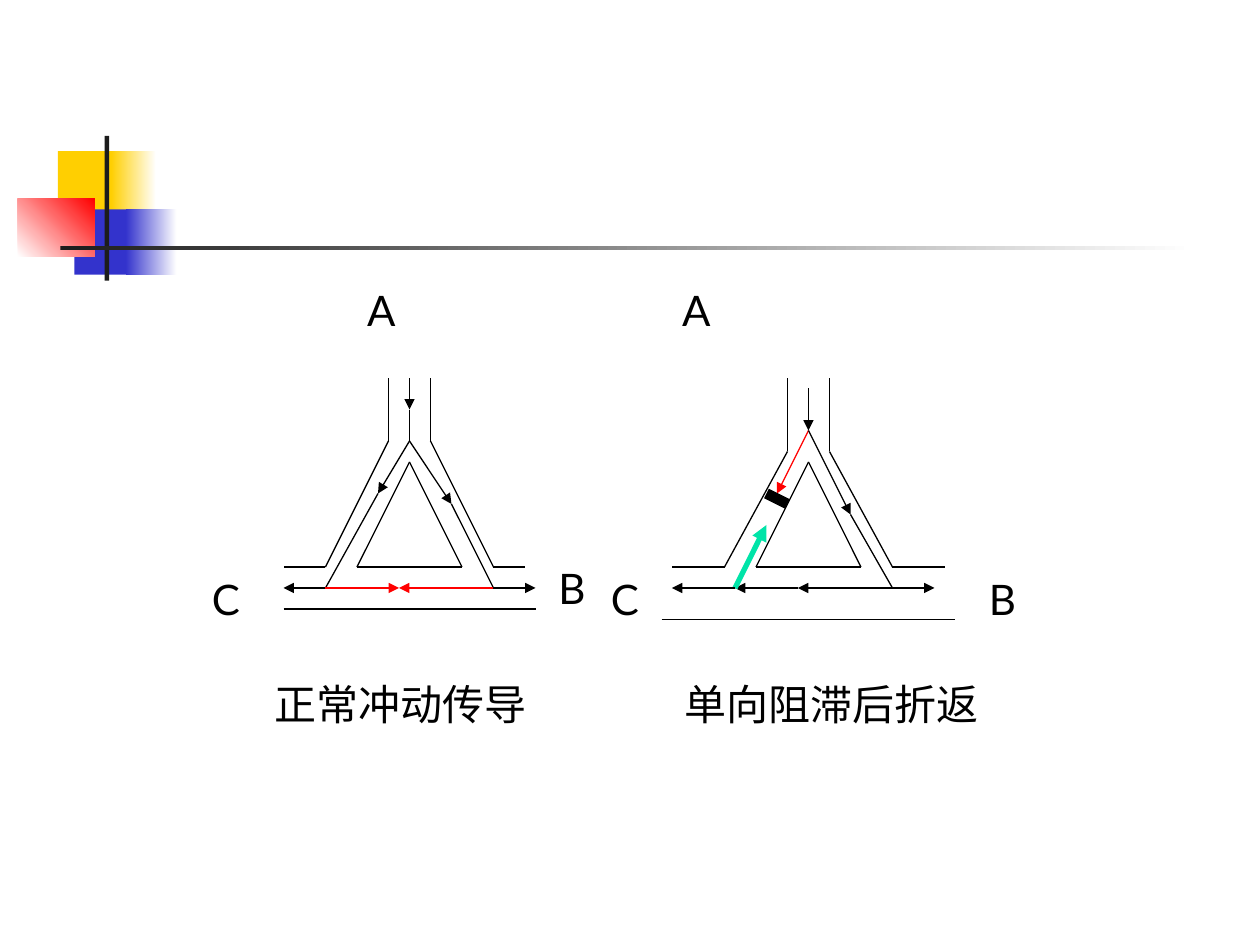
from itertools import pairwise

from lxml.etree import SubElement
from pptx import Presentation
from pptx.dml.color import RGBColor
from pptx.enum.shapes import MSO_CONNECTOR, MSO_SHAPE
from pptx.oxml.ns import qn
from pptx.util import Cm, Pt

COLORS = {
    "black": "000000",
    "charcoal": "1C1C1C",
    "white": "FFFFFF",
    "yellow": "FFCF01",
    "blue": "3333CC",
    "red": "FF0000",
    "green": "00E4A8",
}
FONT = "Lato"
GRID = 2.54 / 12  # both diagrams sit on a grid of twelfths of an inch

# Corner ornament: left, top, width, height in cm, colours, gradient angle
ORNAMENT = [
    (1.17, 3.05, 1.22, 1.32, ["yellow"], 0),
    (2.24, 3.05, 0.91, 1.32, ["yellow", "white"], 0),
    (1.5, 4.22, 1.17, 1.32, ["blue"], 0),
    (2.54, 4.22, 1.02, 1.32, ["blue", "white"], 0),
    (0.36, 4.01, 1.55, 1.17, ["white", "red"], 45),
    (2.11, 2.74, 0.09, 2.92, ["charcoal"], 0),
    (1.22, 4.95, 22.86, 0.09, ["charcoal", "white"], 0),
]

# Walls of the conducting tissue, as grid points
NORMAL_WALLS = [
    [(37, 36), (37, 42), (31, 54), (27, 54)],
    [(41, 36), (41, 42), (47, 54), (50, 54)],
    [(27, 58), (51, 58)],
    [(39, 44), (34, 54), (44, 54), (39, 44)],
]
REENTRY_WALLS = [
    [(75, 36), (75, 43), (69, 54), (64, 54)],
    [(79, 36), (79, 43), (85, 54), (90, 54)],
    [(63, 59), (91, 59)],
    [(77, 44), (72, 54), (82, 54), (77, 44)],
]

# Impulses: grid points, colour, width in points, arrowhead at the end
NORMAL_IMPULSES = [
    ([(39, 36), (39, 39)], "black", 0.75, True),
    ([(39, 39), (39, 42)], "black", 0.75, False),
    ([(39, 42), (36, 47)], "black", 0.75, True),
    ([(39, 42), (43, 48)], "black", 0.75, True),
    ([(36, 47), (31, 56)], "black", 0.75, False),
    ([(43, 48), (47, 56)], "black", 0.75, False),
    ([(31, 56), (27, 56)], "black", 0.75, True),
    ([(47, 56), (51, 56)], "black", 0.75, True),
    ([(31, 56), (38, 56)], "red", 0.75, True),
    ([(47, 56), (38, 56)], "red", 0.75, True),
]
REENTRY_IMPULSES = [
    ([(77, 37), (77, 41)], "black", 0.75, True),
    ([(77, 41), (74, 47)], "red", 0.75, True),
    ([(73, 47), (75, 48)], "black", 6, False),  # the block
    ([(77, 41), (81, 49)], "black", 0.75, True),
    ([(81, 49), (85, 56)], "black", 0.75, False),
    ([(85, 56), (89, 56)], "black", 0.75, True),
    ([(85, 56), (76, 56), (70, 56)], "black", 0.75, True),
    ([(70, 56), (73, 50)], "green", 3, True),
    ([(70, 56), (64, 56)], "black", 0.75, True),
]

# Labels: text, left, top, width in grid units
LABELS = [
    ("A", 33.8, 26.5, 6),
    ("A", 63.8, 26.5, 6),
    ("C", 19, 54, 6),
    ("B", 52, 53, 7),
    ("B", 93, 54, 8),
    ("C", 57, 54, 6),
    ("正常冲动传导", 25, 64, 27),
    ("单向阻滞后折返", 64, 64, 31),
]


def color(name):
    return RGBColor.from_string(COLORS[name])


def grid(units):
    return Cm(units * GRID)


def add_block(slide, left, top, width, height, names, angle):
    """Add a borderless rectangle, plain or with a two-colour gradient."""
    shape = slide.shapes.add_shape(
        MSO_SHAPE.RECTANGLE, Cm(left), Cm(top), Cm(width), Cm(height))
    shape.shadow.inherit = False
    shape.line.fill.background()
    if len(names) == 1:
        shape.fill.solid()
        shape.fill.fore_color.rgb = color(names[0])
        return
    shape.fill.gradient()
    shape.fill.gradient_angle = angle
    for stop, name in zip(shape.fill.gradient_stops, names):
        stop.color.rgb = color(name)


def add_path(slide, points, name="black", width=0.75, arrow=False):
    """Join grid points with straight lines, each with an optional arrowhead."""
    for start, end in pairwise(points):
        line = slide.shapes.add_connector(
            MSO_CONNECTOR.STRAIGHT, *map(grid, start + end))
        line.line.color.rgb = color(name)
        line.line.width = Pt(width)
        if arrow:
            SubElement(line.line._get_or_add_ln(), qn("a:tailEnd"), type="triangle")
        SubElement(line._element.spPr, qn("a:effectLst"))


def add_label(slide, text, left, top, width):
    box = slide.shapes.add_textbox(grid(left), grid(top), grid(width), grid(6))
    box.text_frame.word_wrap = True
    paragraph = box.text_frame.paragraphs[0]
    paragraph.text = text
    paragraph.font.name = FONT
    paragraph.font.size = Pt(24)
    paragraph.font.color.rgb = color("black")


def main():
    presentation = Presentation()
    presentation.slide_width = Cm(25.4)
    presentation.slide_height = Cm(19.05)
    slide = presentation.slides.add_slide(presentation.slide_layouts[6])

    # Corner ornament
    for block in ORNAMENT:
        add_block(slide, *block)

    # Normal conduction on the left, re-entry on the right
    for walls, impulses in ((NORMAL_WALLS, NORMAL_IMPULSES),
                            (REENTRY_WALLS, REENTRY_IMPULSES)):
        for points in walls:
            add_path(slide, points)
        for impulse in impulses:
            add_path(slide, *impulse)

    # Point names and captions
    for label in LABELS:
        add_label(slide, *label)

    presentation.save("out.pptx")


if __name__ == "__main__":
    main()
